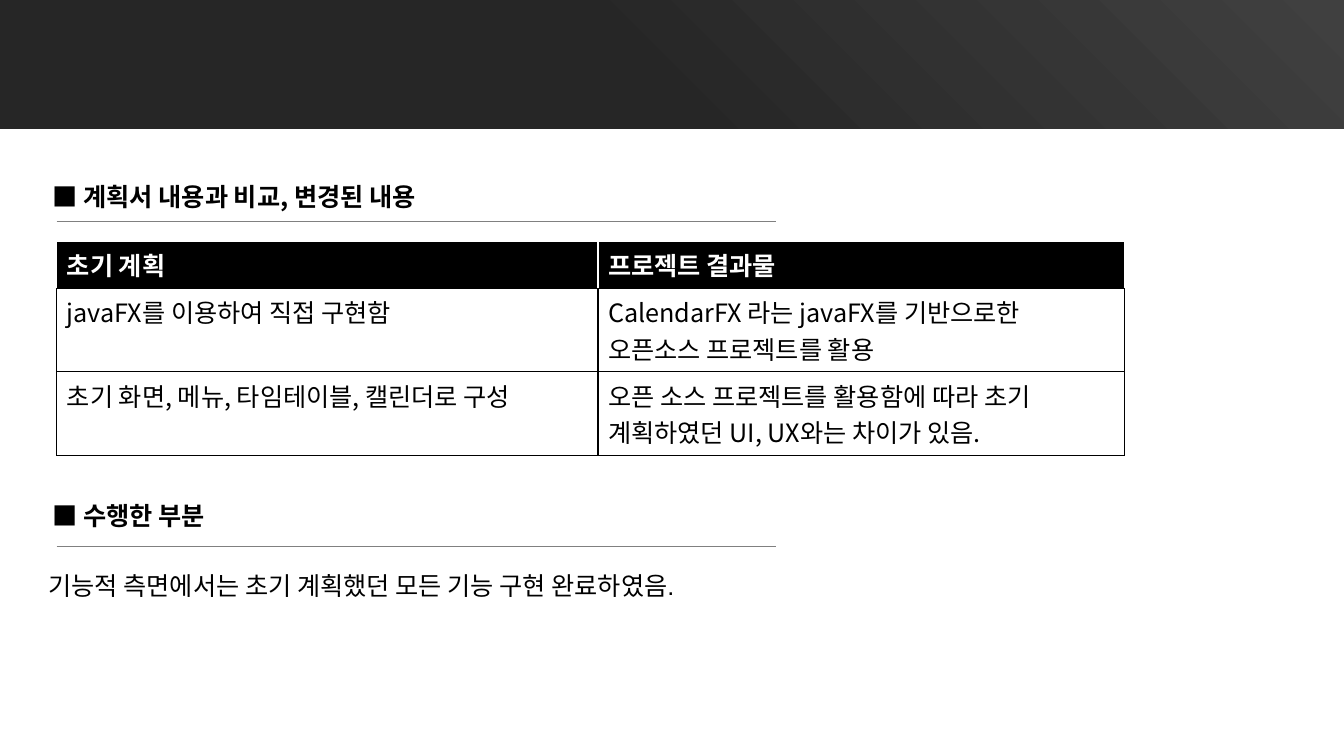
from typing import NamedTuple

from lxml.etree import SubElement
from pptx import Presentation
from pptx.dml.color import RGBColor as Rgb
from pptx.enum.shapes import MSO_CONNECTOR as Conn, MSO_SHAPE as Form
from pptx.enum.text import MSO_ANCHOR as Anchor, MSO_AUTO_SIZE as Fit, PP_ALIGN as Align
from pptx.oxml.ns import qn
from pptx.util import Cm, Pt

SANS = "Noto Sans CJK KR"
BLACK, WHITE, GRAY = "000000", "FFFFFF", "808080"
WIDE, TALL = 33.87, 19.05
EDGE = 1.43


class Label(NamedTuple):
    """A line of text and its place in centimetres."""
    text: str
    left: float
    top: float
    width: float
    bold: bool = True
    font: str = SANS


HEADS = [
    Label("■ 계획서 내용과 비교, 변경된 내용", 1.07, 4.45, 16.41),
    Label("■ 수행한 부분", 1.07, 12.48, 7.62),
]
NOTE = Label("기능적 측면에서는 초기 계획했던 모든 기능 구현 완료하였음.",
             0.97, 14.25, 17.75, False, "Arial")
RULES = [5.59, 13.77]
ROWS = [
    ("초기 계획", "프로젝트 결과물"),
    ("javaFX를 이용하여 직접 구현함",
     "CalendarFX 라는 javaFX를 기반으로한 오픈소스 프로젝트를 활용"),
    ("초기 화면, 메뉴, 타임테이블, 캘린더로 구성",
     "오픈 소스 프로젝트를 활용함에 따라 초기 계획하였던 UI, UX와는 차이가 있음."),
]
COLS = [13.64, 13.26]
HIGHS = [1.19, 2.1, 2.1]


def tint(code: str) -> Rgb:
    """Turn a hex string into a colour."""
    return Rgb.from_string(code)


def write(frame, text: str, color: str = BLACK, bold: bool = False,
          font: str = SANS) -> None:
    """Add one 18 pt run to the first paragraph of a text frame."""
    para = frame.paragraphs[0]
    para.alignment = Align.LEFT
    run = para.add_run()
    run.text = text
    face = run.font
    face.size, face.bold, face.name = Pt(18), bold, font
    face.color.rgb = tint(color)
    SubElement(run._r.get_or_add_rPr(), qn("a:ea"), typeface=SANS)


def place(shape, label: Label) -> None:
    """Put a label into a text box or placeholder."""
    shape.left, shape.top = Cm(label.left), Cm(label.top)
    shape.width, shape.height = Cm(label.width), Cm(1.03)
    frame = shape.text_frame
    frame.word_wrap = True
    frame.auto_size = Fit.SHAPE_TO_FIT_TEXT
    frame.vertical_anchor = Anchor.TOP
    write(frame, label.text, bold=label.bold, font=label.font)


def band(shapes) -> None:
    """Draw the dark band, lit from its top right corner."""
    bar = shapes.add_shape(Form.RECTANGLE, 0, 0, Cm(WIDE), Cm(3.25))
    bar.shadow.inherit = False
    bar.line.fill.background()
    bar.fill.gradient()
    for stop, (code, spot) in zip(bar.fill.gradient_stops,
                                  [("404040", 0), ("262626", 0.54)]):
        stop.color.rgb, stop.position = tint(code), spot
    grad = bar._element.spPr.find(qn("a:gradFill"))
    grad.remove(grad.find(qn("a:lin")))
    glow = SubElement(grad, qn("a:path"), {"path": "circle"})
    SubElement(glow, qn("a:fillToRect"), l="100000", b="100000")


def rule(shapes, top: float) -> None:
    """Draw a thin line under a heading."""
    line = shapes.add_connector(Conn.STRAIGHT, Cm(EDGE), Cm(top),
                                Cm(19.56), Cm(top))
    line.line.color.rgb, line.line.width = tint(GRAY), Pt(0.5)
    SubElement(line._element.spPr, qn("a:effectLst"))


def border(cell, colors: dict[str, str]) -> None:
    """Give each side of a cell a 1 pt line, ahead of its fill."""
    props = cell._tc.get_or_add_tcPr()
    for spot, (side, code) in enumerate(colors.items()):
        line = SubElement(props, qn(f"a:ln{side}"), w=str(Pt(1)))
        solid = SubElement(line, qn("a:solidFill"))
        SubElement(solid, qn("a:srgbClr"), val=code)
        props.insert(spot, line)


def grid(shapes) -> None:
    """Build the table that compares plan and result."""
    table = shapes.add_table(len(ROWS), len(COLS), Cm(EDGE), Cm(6.08),
                             Cm(sum(COLS)), Cm(sum(HIGHS))).table
    for col, width in zip(table.columns, COLS):
        col.width = Cm(width)
    for row, high, texts in zip(table.rows, HIGHS, ROWS):
        row.height = Cm(high)
        head = texts is ROWS[0]
        ink, back = (WHITE, BLACK) if head else (BLACK, WHITE)
        for cell, text in zip(row.cells, texts):
            cell.fill.solid()
            cell.fill.fore_color.rgb = tint(back)
            border(cell, {"L": ink, "R": ink, "T": ink, "B": BLACK})
            write(cell.text_frame, text, ink, head)


def main() -> None:
    """Build and save the slide."""
    deck = Presentation()
    deck.slide_width, deck.slide_height = Cm(WIDE), Cm(TALL)
    slide = deck.slides.add_slide(deck.slide_layouts[5])
    shapes = slide.shapes
    band(shapes)
    grid(shapes)
    for top in RULES:
        rule(shapes, top)
    place(shapes.title, HEADS[0])
    for label in [*HEADS[1:], NOTE]:
        place(shapes.add_textbox(0, 0, 0, 0), label)
    deck.save("out.pptx")


main()
